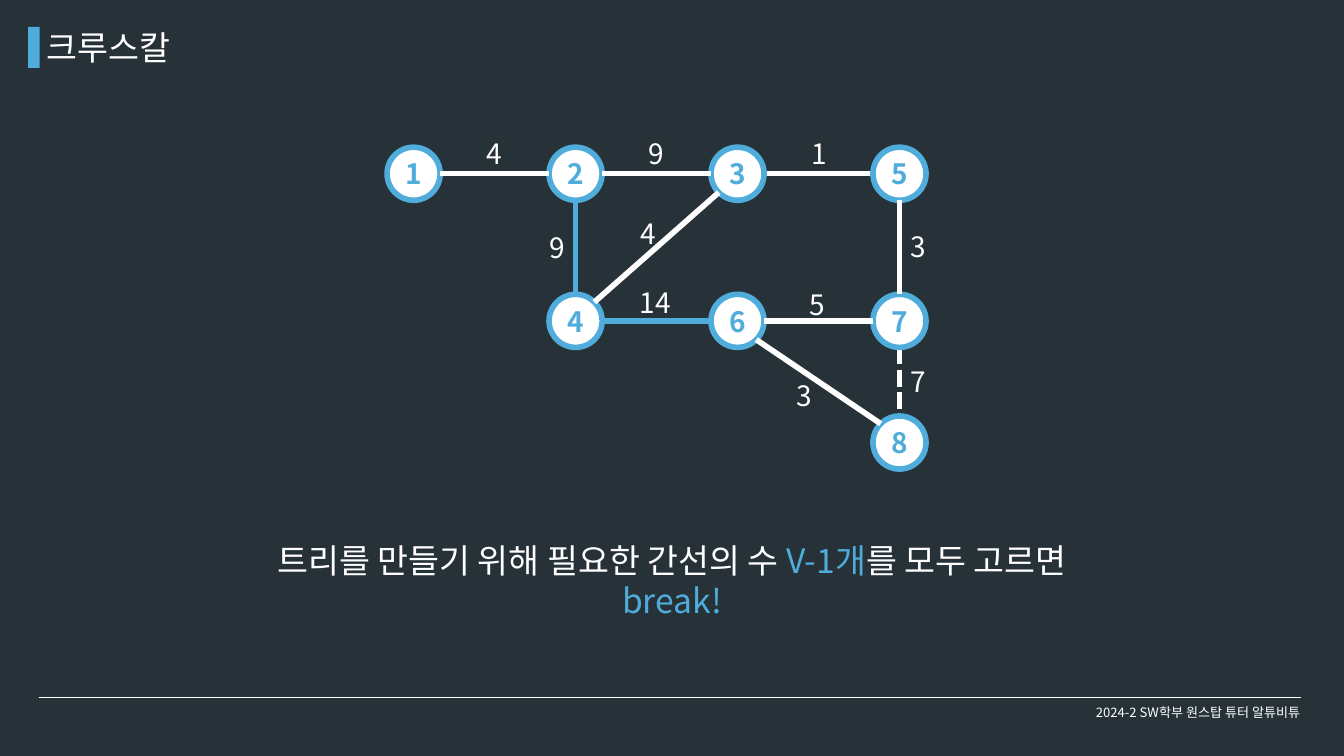
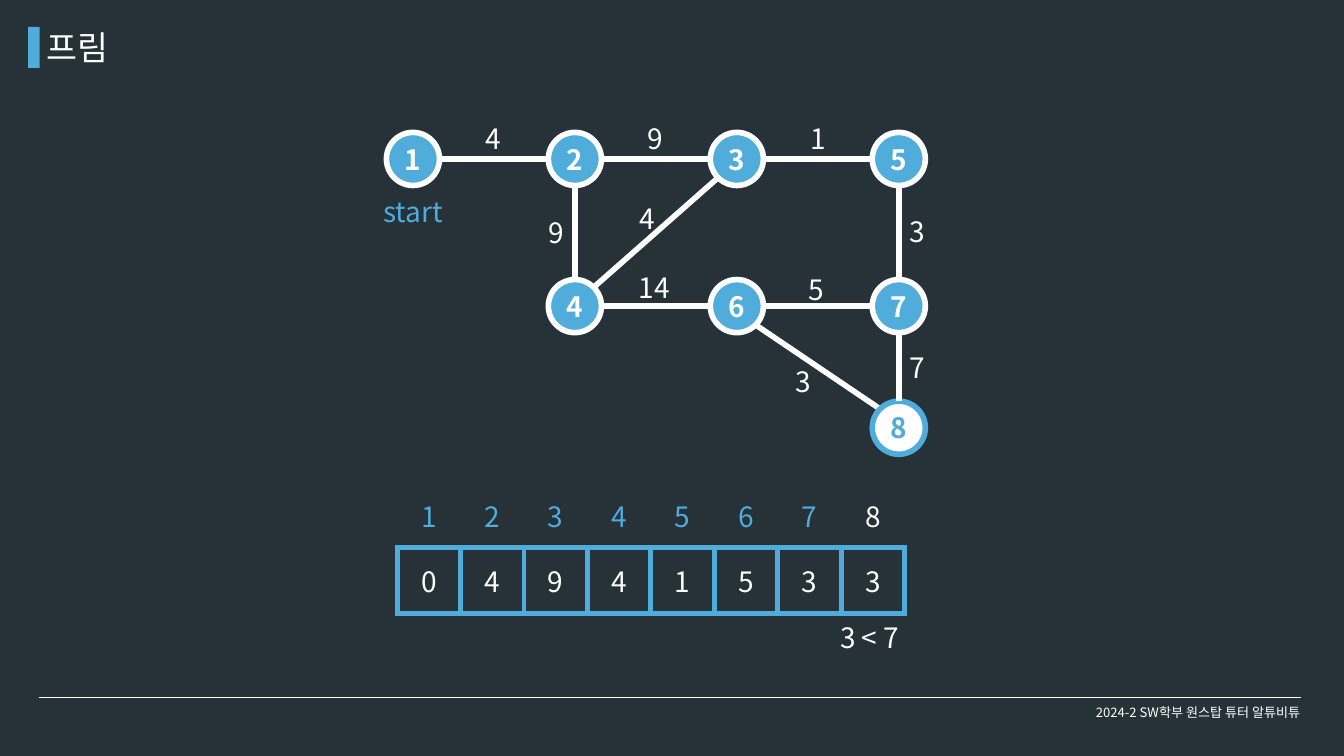
from lxml.etree import SubElement
from pptx import Presentation
from pptx.dml.color import RGBColor
from pptx.enum.dml import MSO_LINE
from pptx.enum.shapes import MSO_CONNECTOR as CONN, MSO_SHAPE as SHAPE
from pptx.enum.text import MSO_ANCHOR as ANCHOR, MSO_AUTO_SIZE as FIT, PP_ALIGN as ALIGN
from pptx.oxml import parse_xml
from pptx.oxml.ns import nsdecls, qn
from pptx.util import Pt

PX = 9144  # 100 px to the inch
WIDE, HIGH = 2000, 1125
DARK, BLUE, WHITE = "263238", "4FACDB", "FFFFFF"
FONT = "Noto Sans CJK KR"
FOOTER = "2024-2 SW학부 원스탑 튜터 알튜비튜"

# Graph: node -> (column, row)
NODES = {1: (0, 0), 2: (1, 0), 3: (2, 0), 4: (1, 1),
         5: (3, 0), 6: (2, 1), 7: (3, 1), 8: (3, 2)}
COL_X, COL_STEP, ROW_Y, SIZE = 576, 241, (219, 438, 619), 79
# Edge -> (weight, label left, label top, label width)
EDGES = {
    (1, 2): (4, 714, 198, 46),
    (2, 3): (9, 955, 198, 46),
    (2, 4): (9, 808, 338, 46),
    (3, 4): (4, 943, 317, 46),
    (3, 5): (1, 1198, 198, 46),
    (4, 6): (14, 942, 420, 71),
    (6, 7): (5, 1195, 423, 46),
    (5, 7): (3, 1345, 337, 46),
    (7, 8): (7, 1345, 538, 46),
    (6, 8): (3, 1175, 559, 46),
}
RULE = [
    [("트리를 만들기 위해 필요한 간선의 수 ", WHITE), ("V-1개", BLUE), ("를 모두 고르면", WHITE)],
    [("break!", BLUE)],
]
COSTS = [0, 4, 9, 4, 1, 5, 3, 3]


def px(n):
    return round(n * PX)


def box(*at):
    return [px(n) for n in at]


def rgb(tone):
    return RGBColor.from_string(tone)


def add_run(par, text, size, tone, bold=False):
    run = par.add_run()
    run.text = str(text)
    font = run.font
    font.size, font.bold = Pt(size), bold
    font.color.rgb = rgb(tone)
    font.name = FONT
    SubElement(run._r.get_or_add_rPr(), qn("a:ea"), typeface=FONT)


def write(frame, lines, size, align=ALIGN.LEFT, anchor=ANCHOR.TOP, bold=False):
    """Fill a text frame with lines, each a list of (text, colour) runs."""
    frame.vertical_anchor = anchor
    for i, line in enumerate(lines):
        par = frame.add_paragraph() if i else frame.paragraphs[0]
        par.alignment = align
        for text, tone in line:
            add_run(par, text, size, tone, bold)


def add_text(slide, at, lines, size=30, wrap=True, fit=FIT.SHAPE_TO_FIT_TEXT, **look):
    frame = slide.shapes.add_textbox(*box(*at)).text_frame
    frame.word_wrap, frame.auto_size = wrap, fit
    write(frame, lines, size, **look)


def add_line(slide, start, end, tone=WHITE, width=6, dash=False):
    line = slide.shapes.add_connector(CONN.STRAIGHT, *box(*start, *end))
    line.line.color.rgb = rgb(tone)
    line.line.width = Pt(width)
    if dash:
        line.line.dash_style = MSO_LINE.SQUARE_DOT
    SubElement(line.element.spPr, qn("a:effectLst"))
    return line


def add_shape(slide, kind, at, fill):
    shape = slide.shapes.add_shape(kind, *box(*at))
    shape.shadow.inherit = False
    shape.fill.solid()
    shape.fill.fore_color.rgb = rgb(fill)
    shape.line.fill.background()
    return shape


def set_base(slide):
    """Give the slide's layout the background, accent bar and footer rule."""
    layout = slide.slide_layout
    layout.background.fill.solid()
    layout.background.fill.fore_color.rgb = rgb(DARK)
    parts = (add_line(slide, (58, 1038), (1936, 1038), width=0.75),
             add_shape(slide, SHAPE.RECTANGLE, (42, 40, 17, 61), BLUE))
    for part in parts:
        layout.shapes.element.append(part.element)


def add_slide(deck, title):
    slide = deck.slides.add_slide(deck.slide_layouts[5])
    head = slide.shapes.title
    head.left, head.top, head.width, head.height = box(59, 35, 950, 71)
    head.text_frame.auto_size = FIT.SHAPE_TO_FIT_TEXT
    write(head.text_frame, [[(title, WHITE)]], 36)
    add_text(slide, (1583, 1031, 400, 57), [[(FOOTER, WHITE)]], 14, fit=FIT.NONE,
             align=ALIGN.CENTER, anchor=ANCHOR.MIDDLE)
    return slide


def corner(node, dx, dy):
    col, row = NODES[node]
    return COL_X + col * COL_STEP + dx, ROW_Y[row] + dy


def rim(a, b):
    """Point on the rim of node a, in the nearest of eight directions to b."""
    (ax, ay), (bx, by) = NODES[a], NODES[b]
    sx, sy = (bx > ax) - (bx < ax), (by > ay) - (by < ay)
    reach = SIZE / 2 / (sx * sx + sy * sy) ** 0.5
    return sx * reach + SIZE / 2, sy * reach + SIZE / 2


def add_edge(slide, edge, dx, dy, picked, dashed):
    a, b = edge
    ends = []
    for node, other in ((a, b), (b, a)):
        x, y = corner(node, dx, dy)
        rx, ry = rim(node, other)
        ends.append((x + rx, y + ry))
    add_line(slide, *ends, BLUE if edge in picked else WHITE, dash=edge in dashed)


def add_graph(slide, dx=0, dy=0, seen=(), picked=(), dashed=(), under=()):
    """Draw the graph; seen nodes are filled blue, under edges lie below nodes."""
    for edge in under:
        add_edge(slide, edge, dx, dy, picked, dashed)
    for node in NODES:
        fill, ring = (BLUE, WHITE) if node in seen else (WHITE, BLUE)
        dot = add_shape(slide, SHAPE.OVAL, (*corner(node, dx, dy), SIZE, SIZE), fill)
        dot.line.color.rgb = rgb(ring)
        dot.line.width = Pt(6)
        write(dot.text_frame, [[(node, ring)]], 30, ALIGN.CENTER, ANCHOR.MIDDLE, True)
    for edge, (cost, x, y, width) in EDGES.items():
        if edge not in under:
            add_edge(slide, edge, dx, dy, picked, dashed)
        add_text(slide, (x + dx, y + dy, width, 61), [[(cost, WHITE)]], wrap=False)


def set_border(cell, tone):
    fill = f'<a:solidFill><a:srgbClr val="{tone}"/></a:solidFill>' if tone else "<a:noFill/>"
    props = cell._tc.get_or_add_tcPr()
    for i, side in enumerate("LRTB"):
        props.insert(i, parse_xml(
            f'<a:ln{side} {nsdecls("a")} w="{Pt(6)}">{fill}</a:ln{side}>'))


def add_row(slide, top, items, border=None):
    """Add a one-row table of (text, colour) cells."""
    shape = slide.shapes.add_table(1, len(items), *box(591, top, 755, 98))
    table = shape.table
    table.first_row = table.horz_banding = False
    for col, cell, item in zip(table.columns, table.rows[0].cells, items):
        col.width = px(755) // len(items)
        cell.fill.background()
        set_border(cell, border)
        cell.vertical_anchor = ANCHOR.MIDDLE
        par = cell.text_frame.paragraphs[0]
        par.alignment = ALIGN.CENTER
        add_run(par, item[0], 30, item[1])


def main():
    deck = Presentation()
    deck.slide_width, deck.slide_height = box(WIDE, HIGH)

    kruskal = add_slide(deck, "크루스칼")
    set_base(kruskal)
    add_graph(kruskal, picked=[(2, 4), (4, 6)], dashed=[(7, 8)], under=[(7, 8), (3, 5)])
    add_text(kruskal, (200, 798, 1600, 131), RULE, 36, align=ALIGN.CENTER)

    prim = add_slide(deck, "프림")
    seen = range(1, 8)
    add_graph(prim, -1, -22, seen, under=[edge for edge in EDGES if edge != (7, 8)])
    add_row(prim, 815, [(cost, WHITE) for cost in COSTS], BLUE)
    add_row(prim, 718, [(node, BLUE if node in seen else WHITE) for node in NODES])
    add_text(prim, (520, 284, 189, 61), [[("start", BLUE)]], align=ALIGN.CENTER)
    add_text(prim, (1213, 919, 162, 61), [[("3 < 7", WHITE)]], align=ALIGN.CENTER)

    deck.save("out.pptx")


if __name__ == "__main__":
    main()
